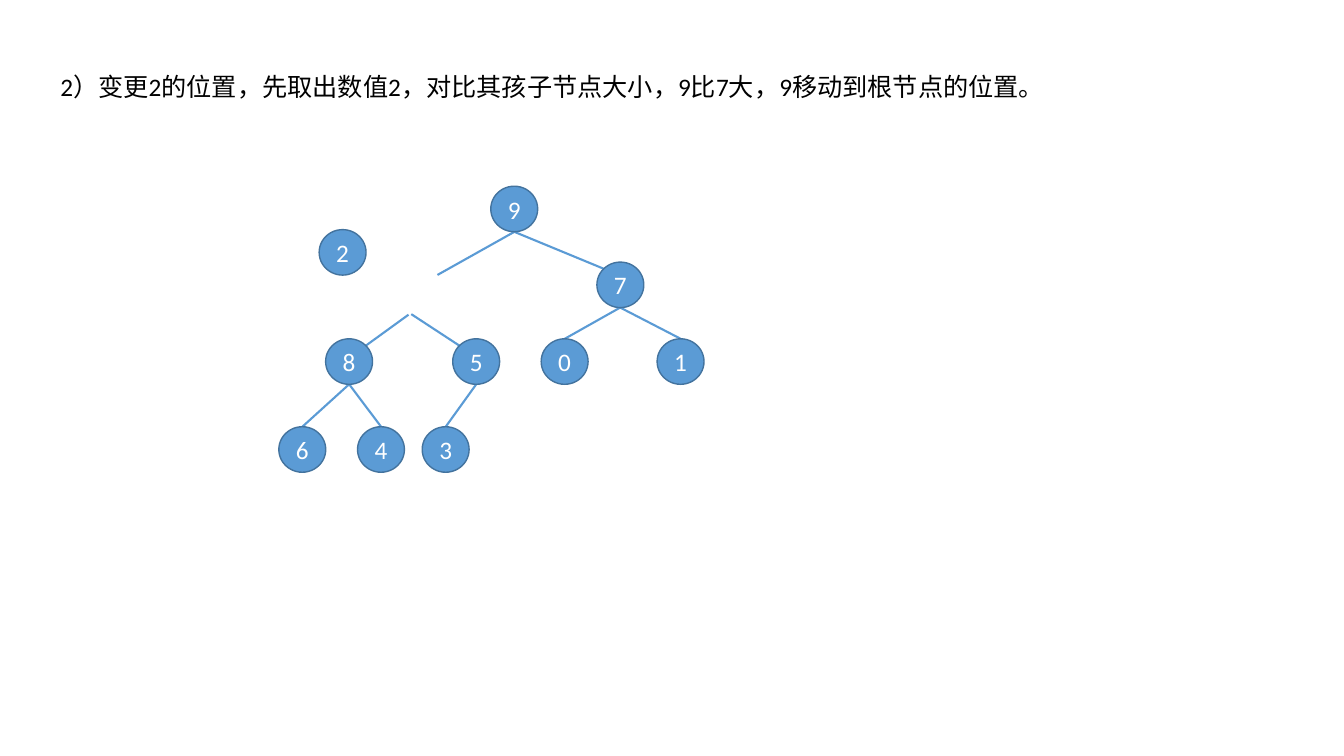
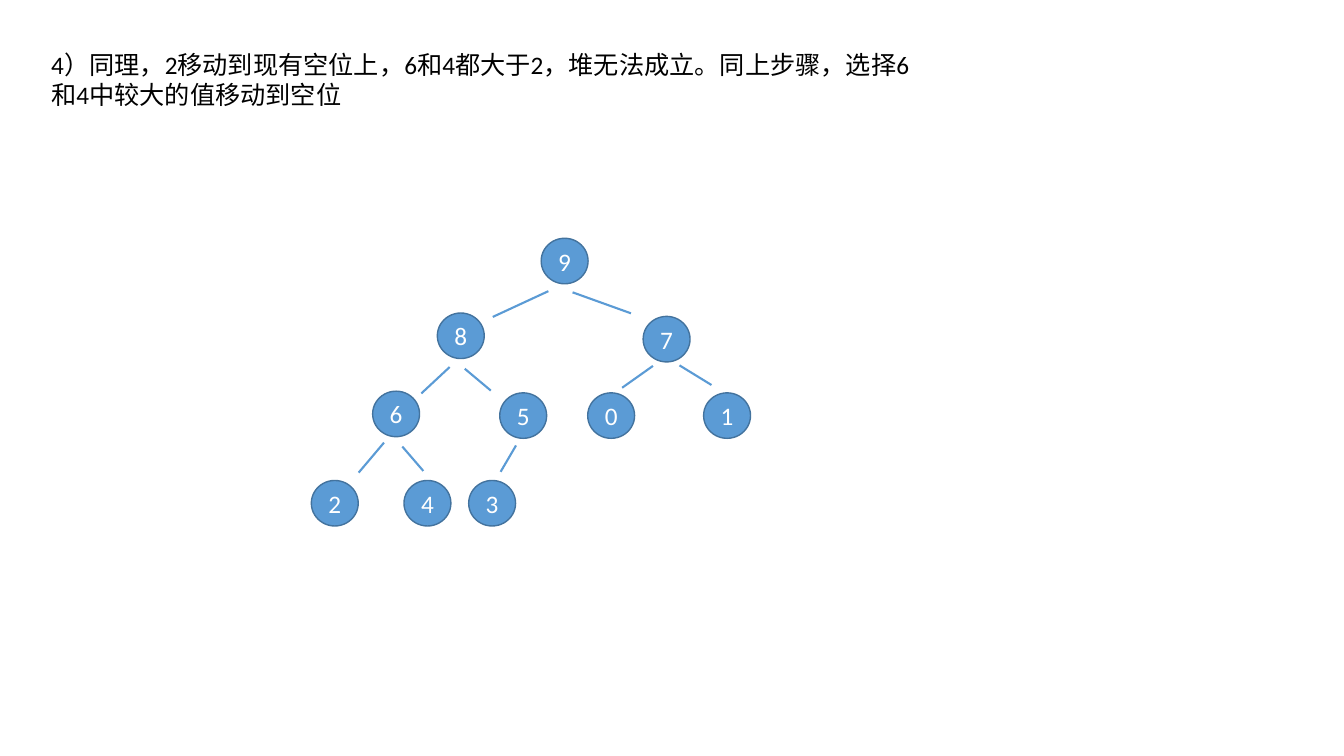
import pptx
import pptx.util
import pptx.dml.color
import pptx.enum.shapes
import pptx.enum.text
import lxml.etree

Pt = pptx.util.Pt
SHAPE = pptx.enum.shapes
TEXT = pptx.enum.text
BLUE, EDGE, WHITE, BLACK = "5B9BD5", "43739E", "FFFFFF", "000000"
WIDE, HIGH = 33.5, 32.5
NS = "http://schemas.openxmlformats.org/drawingml/2006/main"


def tint(code):
    return pptx.dml.color.RGBColor.from_string(code)


def write(frame, words, shade):
    frame.word_wrap = True
    frame.text = words
    font = frame.paragraphs[0].runs[0].font
    font.name = "Calibri"
    font.size = Pt(18)
    font.color.rgb = tint(shade)


steps = [
    {
        "text": "2）变更2的位置，先取出数值2，对比其孩子节点大小，9比7大，9移动到根节点的位置。",
        "box": (36, 47.5, 734.5, 51),
        "nodes": {
            "9": (350.6, 133), "2": (228, 164), "7": (426.4, 187.2),
            "8": (232.6, 242), "5": (323.4, 242), "0": (386.6, 242),
            "1": (469.4, 242), "6": (199.2, 304.8), "4": (255.4, 304.8),
            "3": (301.6, 304.8),
        },
        "lines": [
            (367.4, 165.6, 312.5, 196.4), (367.4, 165.6, 431.3, 192),
            (291.8, 224.8, 261.2, 247), (293.8, 224.4, 328.3, 247),
            (443, 219.7, 403.4, 242), (443, 219.7, 486.2, 242),
            (249.4, 274.5, 216, 304.8), (249.4, 274.5, 272.2, 304.8),
            (340.2, 274.5, 318.4, 304.8),
        ],
    },
    {
        "text": "4）同理，2移动到现有空位上，6和4都大于2，堆无法成立。同上步骤，选择6和4中较大的值移动到空位",
        "box": (29.5, 31.7, 630, 51),
        "nodes": {
            "9": (386.6, 170.2), "8": (312.4, 223.6), "7": (459.4, 226),
            "6": (266.2, 279.4), "5": (357, 280.6), "0": (419.8, 280.6),
            "1": (502.6, 280.6), "2": (222.4, 343.2), "4": (288.6, 343.2),
            "3": (334.8, 343.2),
        },
        "lines": [
            (391.7, 208, 352, 226.4), (409, 208.8, 450.7, 223.8),
            (321.2, 262.2, 301, 281), (332, 263.4, 350.6, 279),
            (466.4, 261.4, 444.4, 277), (485.4, 261, 508.2, 275),
            (274.3, 316.2, 256.2, 337.6), (287.4, 319, 302.4, 336.4),
            (368.6, 318.2, 357.6, 337),
        ],
    },
]

deck = pptx.Presentation()
deck.slide_width = Pt(960)
deck.slide_height = Pt(540)

for step in steps:
    slide = deck.slides.add_slide(deck.slide_layouts[6])
    title = slide.shapes.add_textbox(*map(Pt, step["box"]))
    write(title.text_frame, step["text"], BLACK)

    for ends in step["lines"]:
        link = slide.shapes.add_connector(SHAPE.MSO_CONNECTOR.STRAIGHT, *map(Pt, ends))
        link.line.color.rgb = tint(BLUE)
        link.line.width = Pt(1.5)
        lxml.etree.SubElement(link._element.spPr, "{%s}effectLst" % NS)

    for digit, (left, top) in step["nodes"].items():
        node = slide.shapes.add_shape(
            SHAPE.MSO_SHAPE.OVAL, Pt(left), Pt(top), Pt(WIDE), Pt(HIGH))
        node.shadow.inherit = False
        node.fill.solid()
        node.fill.fore_color.rgb = tint(BLUE)
        node.line.color.rgb = tint(EDGE)
        node.line.width = Pt(1)
        write(node.text_frame, digit, WHITE)
        node.text_frame.vertical_anchor = TEXT.MSO_ANCHOR.MIDDLE
        node.text_frame.paragraphs[0].alignment = TEXT.PP_ALIGN.CENTER

deck.save("out.pptx")
